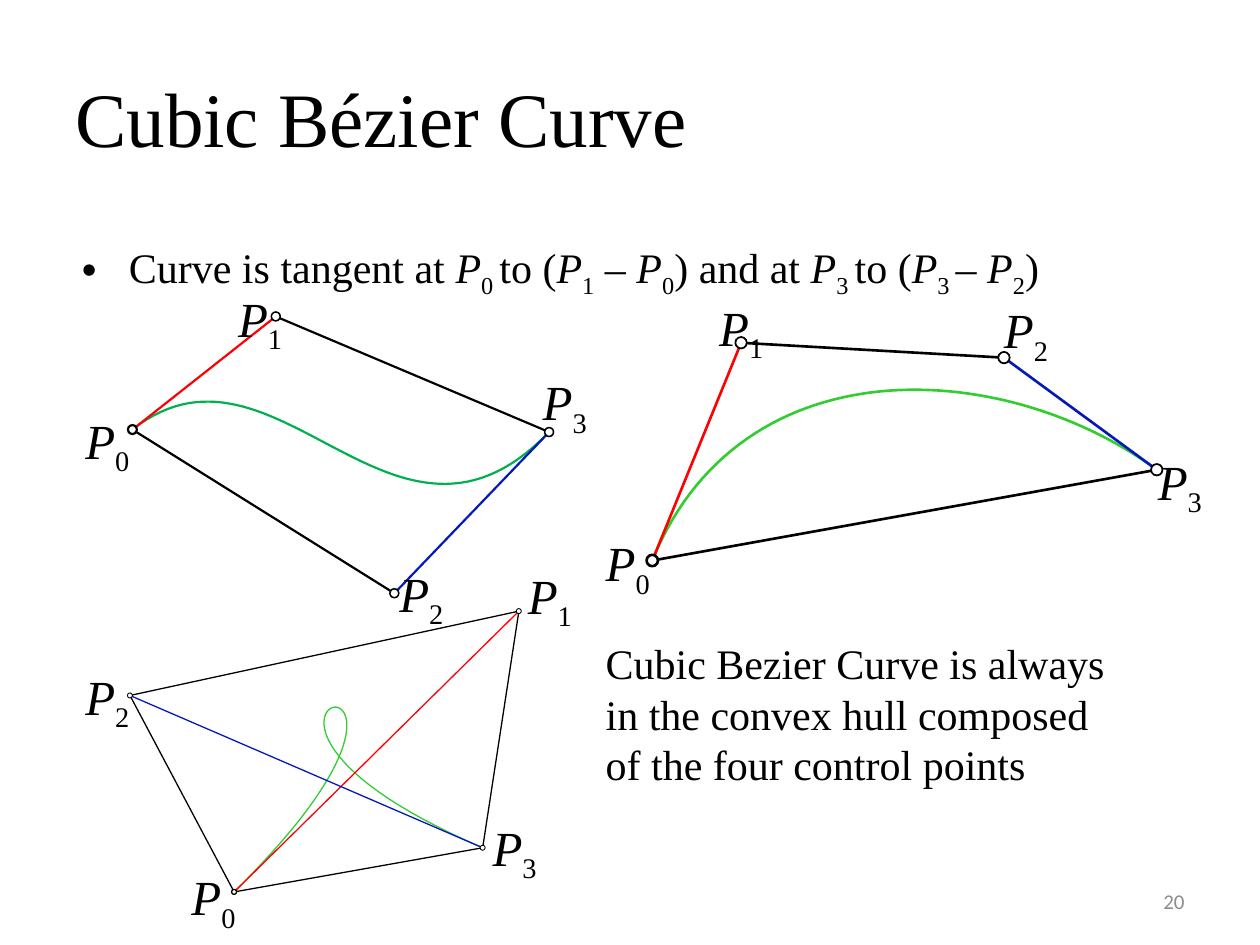
from pptx import Presentation
from pptx.dml.color import RGBColor
from pptx.enum import shapes, text
from pptx.oxml.ns import qn
from pptx.util import Cm, Pt
from lxml import etree

COLORS = {
    "black": "000000", "white": "FFFFFF", "red": "FF0000", "blue": "0718B9",
    "green": "00B050", "lime": "33CC33", "gray": "8C8C8C",
}
SERIF = "Times New Roman"
STEPS = 60

# Control points P0..P3 and top-left corners of their labels, in cm.
# The hull lists the pairs of points joined in black.
DIAGRAMS = [
    dict(points=[(2.67, 8.66), (5.56, 6.38), (7.95, 11.96), (11.07, 8.71)],
         labels=[(1.47, 8.15), (4.55, 5.69), (7.8, 11.23), (10.69, 7.37)],
         hull=[(1, 3), (2, 0)],
         curve="green", width=1.25, dot=0.18, dot_line=0.88),
    dict(points=[(13.15, 11.3), (14.94, 6.91), (20.24, 7.21), (23.32, 9.47)],
         labels=[(11.96, 10.62), (14.25, 5.87), (19.99, 5.92), (23.09, 8.97)],
         hull=[(1, 2), (3, 0)],
         curve="lime", width=1.5, dot=0.23, dot_line=1),
    dict(points=[(4.72, 17.98), (10.46, 12.32), (2.62, 14.02), (9.73, 17.09)],
         labels=[(3.61, 17.35), (10.39, 11.28), (1.47, 13.31), (9.68, 16.36)],
         hull=[(1, 2), (3, 0), (2, 0), (1, 3)],
         curve="lime", width=0.75, dot=0.1, dot_line=0.5),
]

# Plain text followed by the index of a point
TANGENT_TEXT = [
    ("Curve is tangent at ", "0 "), ("to (", "1"), (" – ", "0"),
    (") and at ", "3 "), ("to (", "3 "), ("– ", "2"),
]


def rgb(name):
    return RGBColor.from_string(COLORS[name])


def style_line(s, color, width):
    s.line.color.rgb = rgb(color)
    s.line.width = Pt(width)


def style_run(r, size, font=SERIF, color="black"):
    r.font.size = Pt(size)
    r.font.name = font
    r.font.color.rgb = rgb(color)


def add_text_box(s, left, top, width, height, content="", size=24,
                 font=SERIF, color="black", wrap=True):
    tf = s.shapes.add_textbox(Cm(left), Cm(top), Cm(width), Cm(height)).text_frame
    tf.word_wrap = wrap
    tf.text = content
    for r in tf.paragraphs[0].runs:
        style_run(r, size, font, color)
    return tf


def add_run(p, content, size):
    r = p.add_run()
    r.text = content
    style_run(r, size)
    return r


def add_point_name(p, index, size):
    add_run(p, "P", size).font.italic = True
    sub = add_run(p, index, size)
    sub._r.get_or_add_rPr().set("baseline", "-25000")


def add_bullet(p, indent):
    pPr = p._p.get_or_add_pPr()
    pPr.set("marL", str(Cm(indent)))
    pPr.set("indent", str(-Cm(indent)))
    etree.SubElement(pPr, qn("a:buFont")).set("typeface", "Arial")
    etree.SubElement(pPr, qn("a:buChar")).set("char", "•")


def bezier(points, t):
    weights = [(1 - t) ** 3, 3 * t * (1 - t) ** 2, 3 * t ** 2 * (1 - t), t ** 3]
    return tuple(Cm(sum(w * c for w, c in zip(weights, axis)))
                 for axis in zip(*points))


def add_curve(group, points, color, width):
    path = [bezier(points, i / STEPS) for i in range(STEPS + 1)]
    builder = group.shapes.build_freeform(*path[0])
    builder.add_line_segments(path[1:], close=False)
    s = builder.convert_to_shape()
    s.shadow.inherit = False
    s.fill.background()
    style_line(s, color, width)


def add_line(group, start, end, color, width):
    s = group.shapes.add_connector(
        shapes.MSO_CONNECTOR.STRAIGHT, *map(Cm, start + end))
    style_line(s, color, width)
    etree.SubElement(s._element.spPr, qn("a:effectLst"))


def add_dot(group, center, size, width):
    x, y = center
    s = group.shapes.add_shape(
        shapes.MSO_SHAPE.OVAL, Cm(x - size / 2), Cm(y - size / 2),
        Cm(size), Cm(size))
    s.shadow.inherit = False
    s.fill.solid()
    s.fill.fore_color.rgb = rgb("white")
    style_line(s, "black", width)


def add_diagram(s, d):
    group = s.shapes.add_group_shape()
    points, width = d["points"], d["width"]
    add_curve(group, points, d["curve"], width)
    for a, b in d["hull"]:
        add_line(group, points[a], points[b], "black", width)
    # End tangents
    add_line(group, points[0], points[1], "red", width)
    add_line(group, points[2], points[3], "blue", width)
    # The starting point has the heavier outline
    for i, point in enumerate(points):
        add_dot(group, point, d["dot"], d["dot_line"] if i else width)


def add_labels(s, corners):
    for i, (x, y) in enumerate(corners):
        tf = add_text_box(s, x, y, 1.45, 1.45, wrap=False)
        add_point_name(tf.paragraphs[0], str(i), 28)


def main():
    prs = Presentation()
    prs.slide_width, prs.slide_height = Cm(25.4), Cm(19.05)
    s = prs.slides.add_slide(prs.slide_layouts[6])

    # Title
    tf = add_text_box(s, 1.27, 0.76, 22.86, 3.18, "Cubic Bézier Curve", 44)
    tf.vertical_anchor = text.MSO_ANCHOR.MIDDLE

    # Tangent statement
    p = add_text_box(s, 1.4, 4.75, 22.86, 12.57).paragraphs[0]
    add_bullet(p, 0.95)
    for words, index in TANGENT_TEXT:
        add_run(p, words, 24)
        add_point_name(p, index, 24)
    add_run(p, ")", 24)

    # Slide number
    tf = add_text_box(s, 18.2, 17.66, 5.93, 1.01, "20", 12, "Calibri", "gray")
    tf.vertical_anchor = text.MSO_ANCHOR.MIDDLE
    tf.paragraphs[0].alignment = text.PP_ALIGN.RIGHT

    # Curves with their control points
    for d in DIAGRAMS:
        add_diagram(s, d)
        add_labels(s, d["labels"])

    # Convex hull statement
    add_text_box(s, 11.96, 12.73, 11.13, 3.33,
                 "Cubic Bezier Curve is always in the convex hull "
                 "composed of the four control points")

    prs.save("out.pptx")


if __name__ == "__main__":
    main()
